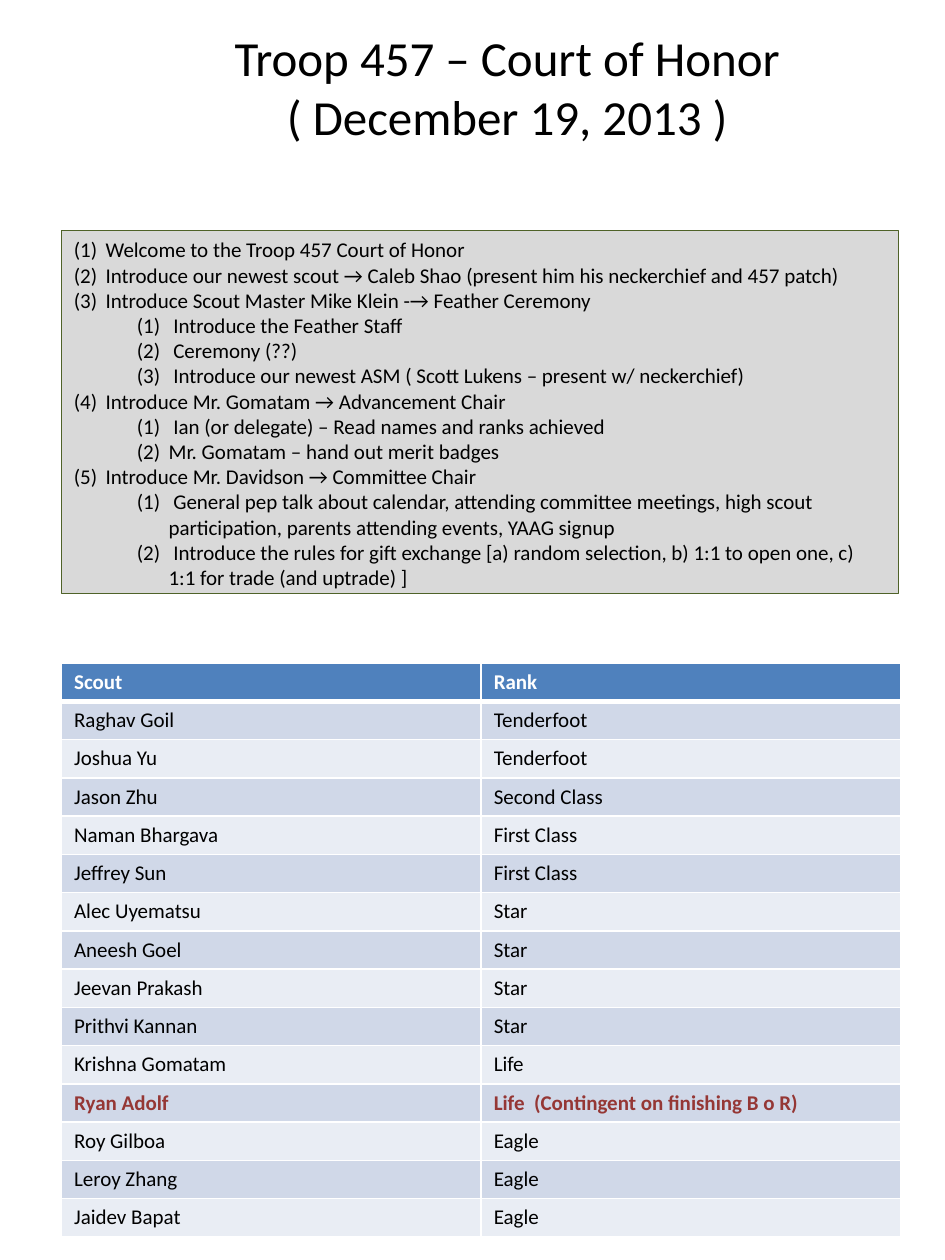
import pptx
import pptx.chart.data
import pptx.dml.color
import pptx.enum.shapes
import pptx.enum.text
import pptx.oxml
import pptx.oxml.ns
import pptx.util
from pptx.util import Cm

COLORS = {
    "text": "000000",
    "white": "FFFFFF",
    "header": "4F81BD",
    "odd row": "D0D8E8",
    "even row": "E9EDF4",
    "highlight": "953735",
    "agenda fill": "D9D9D9",
    "agenda line": "4F6228",
}
TITLE = ["Troop 457 – Court of Honor", "( December 19, 2013 )"]
AGENDA = [
    (0, "Welcome to the Troop 457 Court of Honor"),
    (0, "Introduce our newest scout → Caleb Shao (present him his neckerchief and 457 patch)"),
    (0, "Introduce Scout Master Mike Klein -→ Feather Ceremony"),
    (1, " Introduce the Feather Staff"),
    (1, " Ceremony (??)"),
    (1, " Introduce our newest ASM ( Scott Lukens – present w/ neckerchief)"),
    (0, "Introduce Mr. Gomatam → Advancement Chair"),
    (1, " Ian (or delegate) – Read names and ranks achieved"),
    (1, "Mr. Gomatam – hand out merit badges"),
    (0, "Introduce Mr. Davidson → Committee Chair"),
    (1, " General pep talk about calendar, attending committee meetings, high scout "
        "participation, parents attending events, YAAG signup"),
    (1, " Introduce the rules for gift exchange [a) random selection, b) 1:1 to open one, "
        "c) 1:1 for trade (and uptrade) ]"),
]
RANKS = [
    ("Scout", "Rank"),
    ("Raghav Goil", "Tenderfoot"),
    ("Joshua Yu", "Tenderfoot"),
    ("Jason Zhu", "Second Class"),
    ("Naman Bhargava", "First Class"),
    ("Jeffrey Sun", "First Class"),
    ("Alec Uyematsu", "Star"),
    ("Aneesh Goel", "Star"),
    ("Jeevan Prakash", "Star"),
    ("Prithvi Kannan", "Star"),
    ("Krishna Gomatam", "Life"),
    ("Ryan Adolf", "Life  (Contingent on finishing B o R)"),
    ("Roy Gilboa", "Eagle"),
    ("Leroy Zhang", "Eagle"),
    ("Jaidev Bapat", "Eagle"),
]
HIGHLIGHTED_SCOUT = "Ryan Adolf"


def rgb(name):
    """Return the named colour."""
    return pptx.dml.color.RGBColor.from_string(COLORS[name])


def write_text(paragraph, text, size=12, color="text", bold=False, align="LEFT"):
    """Write one formatted run into a paragraph."""
    paragraph.alignment = getattr(pptx.enum.text.PP_ALIGN, align)
    paragraph.space_before = pptx.util.Pt(0)
    run = paragraph.add_run()
    run.text = text
    run.font.name = "Calibri"
    run.font.size = pptx.util.Pt(size)
    run.font.bold = bold
    run.font.color.rgb = rgb(color)


def next_paragraph(text_frame, index):
    """Return the first paragraph or a newly added one."""
    return text_frame.add_paragraph() if index else text_frame.paragraphs[0]


def number_paragraph(paragraph, level):
    """Give a paragraph a hanging (1) number at its level."""
    paragraph.level = level
    properties = paragraph._p.get_or_add_pPr()
    properties.set("marL", str(Cm(0.64 + 1.27 * level)))
    properties.set("indent", str(-Cm(0.64)))
    numbering = pptx.oxml.parse_xml(
        f'<a:buAutoNum {pptx.oxml.ns.nsdecls("a")} type="arabicParenBoth"/>')
    properties.append(numbering)


def set_borders(cell, top, bottom):
    """Draw white borders round a cell, widths in points."""
    properties = cell._tc.get_or_add_tcPr()
    widths = {"lnL": 1, "lnR": 1, "lnT": top, "lnB": bottom}
    for position, (tag, width) in enumerate(widths.items()):
        border = pptx.oxml.parse_xml(
            f'<a:{tag} {pptx.oxml.ns.nsdecls("a")} w="{pptx.util.Pt(width)}"><a:solidFill>'
            f'<a:srgbClr val="{COLORS["white"]}"/></a:solidFill></a:{tag}>')
        properties.insert(position, border)


def add_title(slide):
    """Place the two-line title."""
    title = slide.shapes.title
    title.left, title.top, title.width, title.height = Cm(4.37), Cm(0.43), Cm(11.71), Cm(2.64)
    text_frame = title.text_frame
    text_frame.word_wrap = False
    text_frame.auto_size = pptx.enum.text.MSO_AUTO_SIZE.NONE
    text_frame.vertical_anchor = pptx.enum.text.MSO_ANCHOR.TOP
    for index, line in enumerate(TITLE):
        write_text(next_paragraph(text_frame, index), line, size=28, align="CENTER")


def add_rank_table(slide):
    """Add the table of scouts and their ranks."""
    row_height = Cm(0.76)
    frame = slide.shapes.add_table(
        len(RANKS), 2, Cm(1.24), Cm(13.37), Cm(16.92), row_height * len(RANKS))
    for row_index, values in enumerate(RANKS):
        frame.table.rows[row_index].height = row_height
        header = row_index == 0
        highlighted = values[0] == HIGHLIGHTED_SCOUT
        color = "white" if header else "highlight" if highlighted else "text"
        fill = "header" if header else "odd row" if row_index % 2 else "even row"
        for column_index, value in enumerate(values):
            cell = frame.table.cell(row_index, column_index)
            cell.fill.solid()
            cell.fill.fore_color.rgb = rgb(fill)
            set_borders(cell, top=3 if row_index == 1 else 1, bottom=3 if header else 1)
            write_text(cell.text_frame.paragraphs[0], value,
                       color=color, bold=header or highlighted)


def add_agenda(slide):
    """Add the box with the numbered agenda."""
    box = slide.shapes.add_shape(
        pptx.enum.shapes.MSO_SHAPE.RECTANGLE, Cm(1.24), Cm(4.65), Cm(16.87), Cm(7.32))
    box.shadow.inherit = False
    box.fill.solid()
    box.fill.fore_color.rgb = rgb("agenda fill")
    box.line.color.rgb = rgb("agenda line")
    box.line.width = pptx.util.Pt(0.75)
    box.text_frame.word_wrap = True
    box.text_frame.vertical_anchor = pptx.enum.text.MSO_ANCHOR.TOP
    for index, (level, item) in enumerate(AGENDA):
        paragraph = next_paragraph(box.text_frame, index)
        write_text(paragraph, item)
        number_paragraph(paragraph, level)


def main():
    """Build and save the slide."""
    presentation = pptx.Presentation()
    presentation.slide_width, presentation.slide_height = Cm(19.05), Cm(25.4)
    slide = presentation.slides.add_slide(presentation.slide_layouts[5])
    add_title(slide)
    add_rank_table(slide)
    add_agenda(slide)
    presentation.save("out.pptx")


main()
